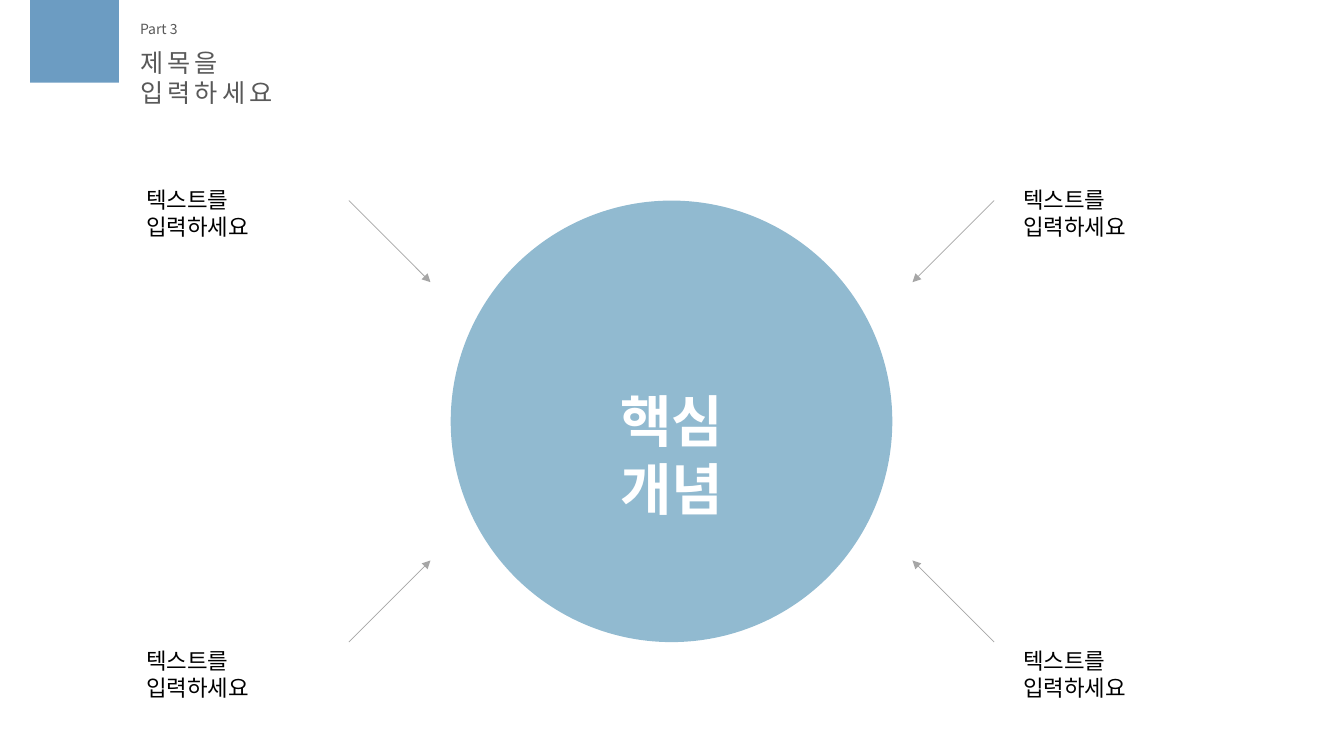
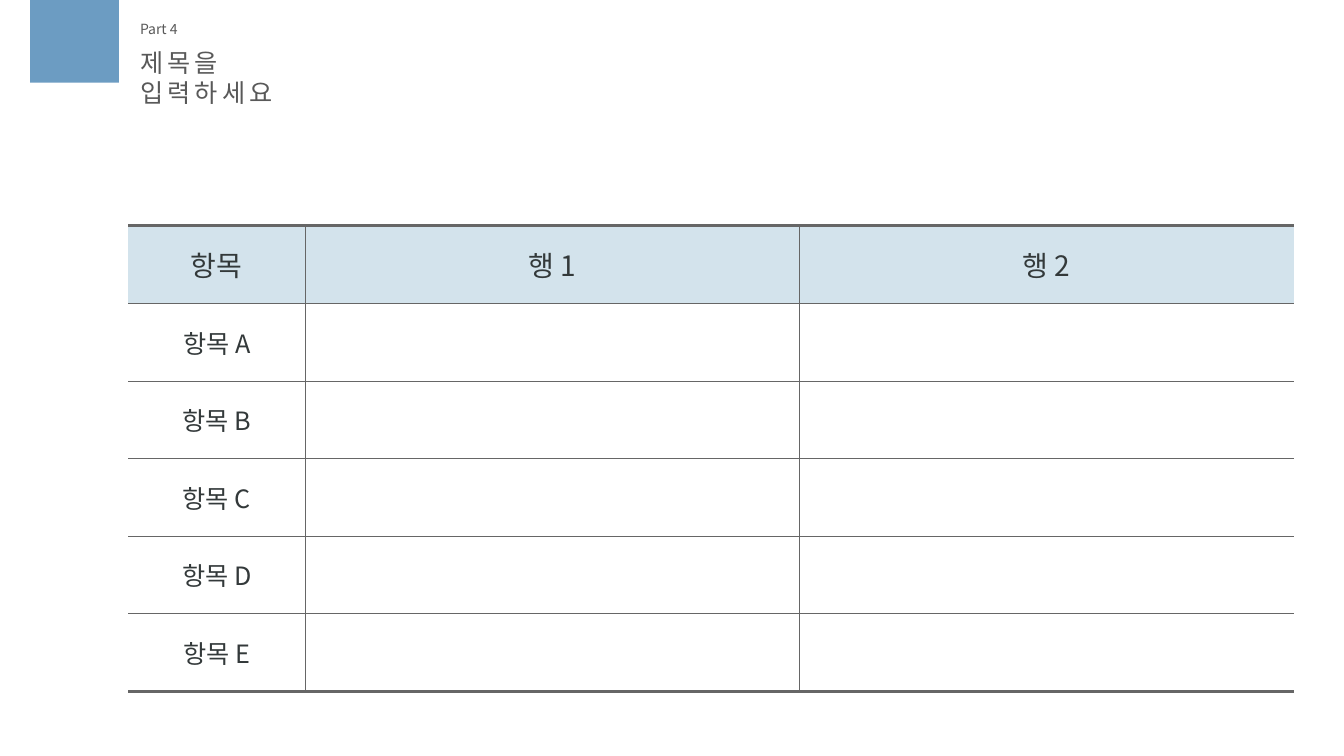
import itertools

import lxml.etree
import pptx
import pptx.dml.color
import pptx.enum.shapes
import pptx.enum.text
import pptx.oxml.ns
import pptx.util

Inches = pptx.util.Inches
Pt = pptx.util.Pt
RGBColor = pptx.dml.color.RGBColor
Shape = pptx.enum.shapes.MSO_SHAPE
Align = pptx.enum.text.PP_ALIGN
qn = pptx.oxml.ns.qn

FONT = "Noto Sans CJK KR"
BLUE = RGBColor(0x6C, 0x9C, 0xC2)
SKY = RGBColor(0x91, 0xBA, 0xD0)
PALE = RGBColor(0xD3, 0xE3, 0xEC)
WHITE = RGBColor(0xFF, 0xFF, 0xFF)
BLACK = RGBColor(0x00, 0x00, 0x00)
GRAY = RGBColor(0x59, 0x59, 0x59)
SILVER = RGBColor(0xA6, 0xA6, 0xA6)
RULE = RGBColor(0x66, 0x66, 0x66)
INK = RGBColor(0x33, 0x39, 0x3A)


def add(parent, tag, **attrs):
    return lxml.etree.SubElement(parent, qn(tag), **attrs)


class Deck:
    def __init__(self):
        self.file = pptx.Presentation()
        self.file.slide_width = Inches(13.33)
        self.file.slide_height = Inches(7.5)
        self.slide = None

    def start(self, part):
        self.slide = self.file.slides.add_slide(self.file.slide_layouts[6])
        self.shape(Shape.RECTANGLE, 0.3, 0, 0.88, 0.82, BLUE)
        self.text(part, 1.29, 0.15, 0.58, 0.27, 10, GRAY)
        self.text("제목을\v입력하세요", 1.29, 0.42, 2.38, 0.4, 18, GRAY, gap=3)

    def style(self, para, size, color, bold=False, align=Align.LEFT, gap=0):
        para.alignment = align
        font = para.font
        font.name = FONT
        font.size = Pt(size)
        font.bold = bold
        font.color.rgb = color
        props = para._p.pPr.find(qn("a:defRPr"))
        add(props, "a:ea", typeface=FONT)
        if gap:
            props.set("spc", str(gap * 100))

    def shape(self, kind, x, y, w, h, color):
        shape = self.slide.shapes.add_shape(kind, Inches(x), Inches(y), Inches(w), Inches(h))
        shape.shadow.inherit = False
        shape.fill.solid()
        shape.fill.fore_color.rgb = color
        shape.line.fill.background()

    def text(self, words, x, y, w, h, size, color, **look):
        box = self.slide.shapes.add_textbox(Inches(x), Inches(y), Inches(w), Inches(h))
        frame = box.text_frame
        frame.word_wrap = False
        frame.auto_size = pptx.enum.text.MSO_AUTO_SIZE.SHAPE_TO_FIT_TEXT
        para = frame.paragraphs[0]
        para.text = words
        self.style(para, size, color, **look)

    def arrow(self, x1, y1, x2, y2):
        arrow = self.slide.shapes.add_connector(
            pptx.enum.shapes.MSO_CONNECTOR.STRAIGHT, Inches(x1), Inches(y1), Inches(x2), Inches(y2))
        arrow.line.color.rgb = SILVER
        arrow.line.width = Pt(0.5)
        add(arrow.line._get_or_add_ln(), "a:tailEnd", type="triangle")
        add(arrow._element.spPr, "a:effectLst")

    def edge(self, cell, side, width):
        line = add(cell._tc.get_or_add_tcPr(), "a:ln" + side, w=str(Pt(width)))
        if width:
            add(add(line, "a:solidFill"), "a:srgbClr", val=str(RULE))
        else:
            add(line, "a:noFill")

    def table(self, rows, x, y, widths, height):
        last_row, last_col = len(rows) - 1, len(widths) - 1
        table = self.slide.shapes.add_table(
            len(rows), len(widths), Inches(x), Inches(y),
            Inches(sum(widths)), Inches(height * len(rows))).table
        table.horz_banding = False
        for col, width in zip(table.columns, widths):
            col.width = Inches(width)
        for r, words in enumerate(rows):
            table.rows[r].height = Inches(height)
            for c, word in enumerate(words):
                cell = table.cell(r, c)
                self.edge(cell, "L", 0.75 if c else 0)
                self.edge(cell, "R", 0.75 if c < last_col else 0)
                self.edge(cell, "T", 0.75 if r else 2.25)
                self.edge(cell, "B", 0.75 if r < last_row else 2.25)
                cell.fill.solid()
                cell.fill.fore_color.rgb = WHITE if r else PALE
                cell.vertical_anchor = pptx.enum.text.MSO_ANCHOR.MIDDLE
                para = cell.text_frame.paragraphs[0]
                para.text = word
                self.style(para, 18 if r else 20, INK, align=Align.CENTER)


def main():
    deck = Deck()

    deck.start("Part 3")
    mid_x, mid_y, radius = 6.66, 4.18, 2.19
    deck.shape(Shape.OVAL, mid_x - radius, mid_y - radius, 2 * radius, 2 * radius, SKY)
    for down, side in itertools.product((-1, 1), repeat=2):
        deck.arrow(mid_x + side * 3.2, mid_y + down * radius,
                   mid_x + side * 2.39, mid_y + down * 1.38)
    for y, x in itertools.product((1.8, 6.37), (1.35, 10.05)):
        deck.text("텍스트를\v입력하세요", x, y, 2.01, 0.37, 16, BLACK)
    deck.text("핵심\v개념", 5.53, 3.79, 2.27, 0.77, 40, WHITE, bold=True, align=Align.CENTER)

    deck.start("Part 4")
    rows = [("항목", "행 1", "행 2")] + [("항목 " + mark, "", "") for mark in "ABCDE"]
    deck.table(rows, 1.27, 2.24, (1.76, 4.9, 4.9), 0.77)

    deck.file.save("out.pptx")


if __name__ == "__main__":
    main()
